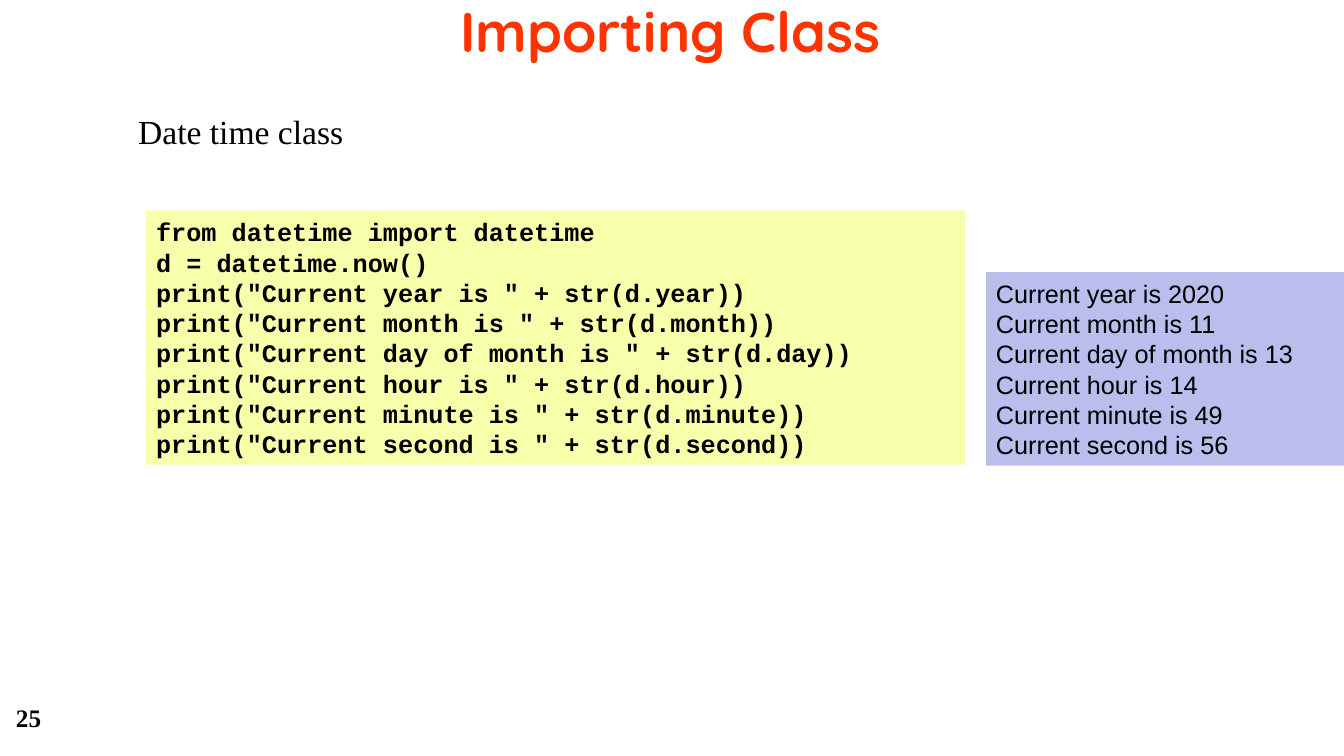
from pptx import Presentation
from pptx import util as u
from pptx.dml import color
from pptx.enum import shapes, text

BLACK = "000000"
FIELDS = [("year", "year", 2020), ("month", "month", 11),
          ("day of month", "day", 13), ("hour", "hour", 14),
          ("minute", "minute", 49), ("second", "second", 56)]
CODE = ["from datetime import datetime", "d = datetime.now()"] + [
    f'print("Current {label} is " + str(d.{attribute}))'
    for label, attribute, value in FIELDS]
OUTPUT = [f"Current {label} is {value}" for label, attribute, value in FIELDS]


def rgb(hex_colour):
    return color.RGBColor.from_string(hex_colour)


def inches(box):
    return [u.Inches(length) for length in box]


def write(shape, lines, font_name, size, colour=BLACK, bold=False,
          align=text.PP_ALIGN.LEFT, anchor=text.MSO_ANCHOR.TOP):
    """Fill a shape with one paragraph per line, all in one style."""
    frame = shape.text_frame
    frame.text = "\n".join(lines)
    frame.word_wrap = True
    frame.vertical_anchor = anchor
    for paragraph in frame.paragraphs:
        paragraph.alignment = align
        paragraph.font.name = font_name
        paragraph.font.size = u.Pt(size)
        paragraph.font.bold = bold
        paragraph.font.color.rgb = rgb(colour)


def remove_insets(shape, top):
    """Clear the margins, keeping only the given top margin in inches."""
    frame = shape.text_frame
    frame.margin_left = frame.margin_right = frame.margin_bottom = 0
    frame.margin_top = u.Inches(top)


def add_title(slide, box):
    title = slide.shapes.title
    title.left, title.top, title.width, title.height = inches(box)
    write(title, ["Importing Class"], "Quicksand", 40, "FF3300", bold=True,
          align=text.PP_ALIGN.CENTER, anchor=text.MSO_ANCHOR.MIDDLE)
    remove_insets(title, 0.01)
    title.text_frame.auto_size = text.MSO_AUTO_SIZE.NONE
    title.text_frame.paragraphs[0].space_before = u.Pt(0.9)


def add_subtitle(slide, box):
    subtitle = slide.shapes.add_textbox(*inches(box))
    write(subtitle, ["Date time class"], "Times New Roman", 24)
    remove_insets(subtitle, 0.11)
    subtitle.text_frame.paragraphs[0].space_before = u.Pt(0.9)


def add_panel(slide, box, fill, lines, font_name, bold=False):
    panel = slide.shapes.add_shape(shapes.MSO_SHAPE.RECTANGLE, *inches(box))
    panel.shadow.inherit = False
    panel.fill.solid()
    panel.fill.fore_color.rgb = rgb(fill)
    panel.line.fill.background()
    write(panel, lines, font_name, 18, bold=bold,
          anchor=text.MSO_ANCHOR.MIDDLE)


def add_page_number(slide, box):
    number = slide.shapes.add_textbox(*inches(box))
    write(number, ["25"], "Times New Roman", 18, bold=True)


def main():
    presentation = Presentation()
    presentation.slide_width = u.Inches(13.33)
    presentation.slide_height = u.Inches(7.5)
    slide = presentation.slides.add_slide(presentation.slide_layouts[5])
    add_title(slide, (2.29, -0.05, 8.72, 0.69))
    add_subtitle(slide, (1.37, 0.99, 11.97, 0.52))
    add_panel(slide, (1.45, 2.09, 8.12, 2.52), "F7FFAB", CODE,
              "Courier New", bold=True)
    add_panel(slide, (9.78, 2.7, 6.67, 1.92), "B9BEEC", OUTPUT, "Arial")
    add_page_number(slide, (0.06, 6.92, 2.78, 0.5))
    presentation.save("out.pptx")


if __name__ == "__main__":
    main()
